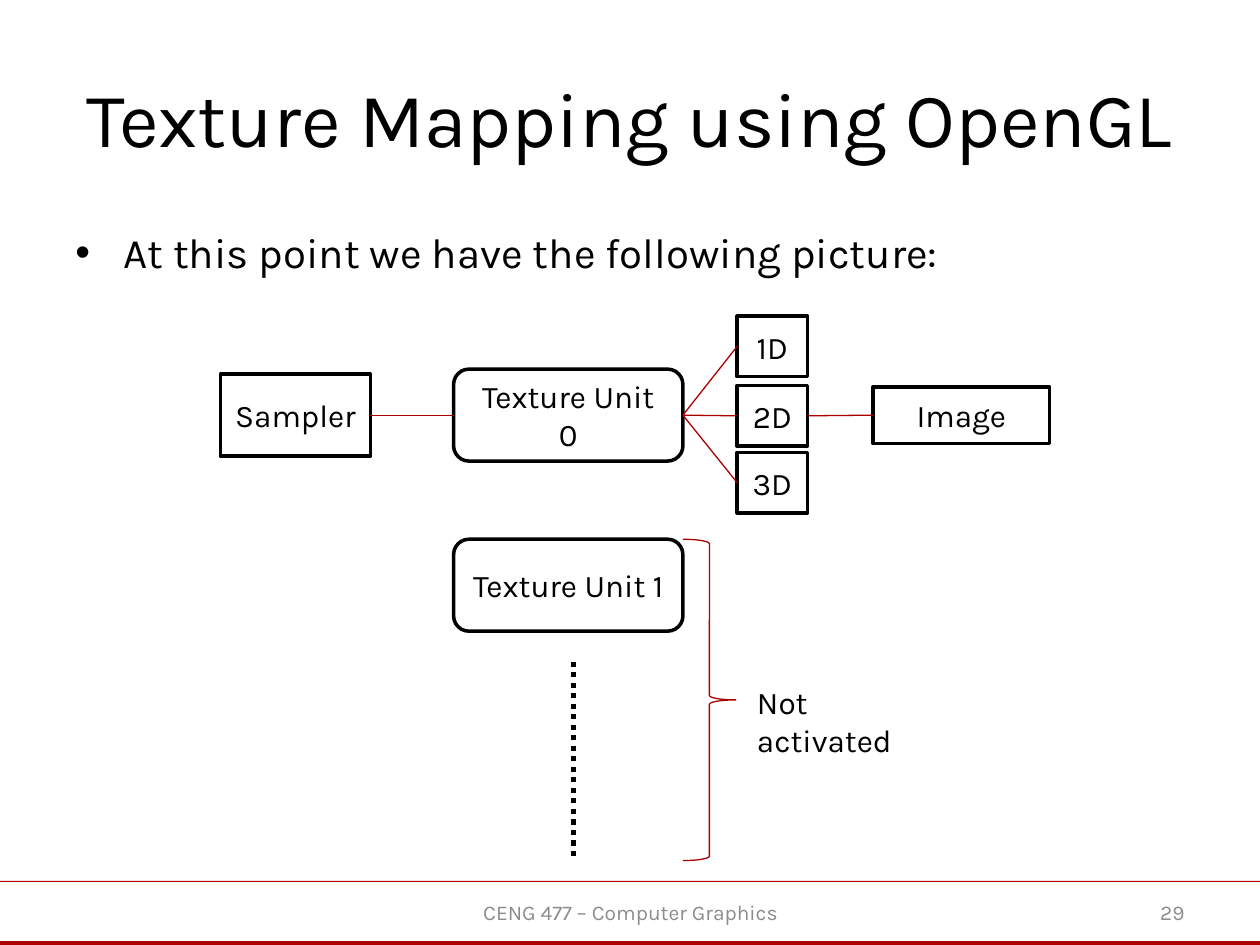
from lxml import etree
from pptx import Presentation
from pptx.dml.color import RGBColor
from pptx.enum import dml, shapes, text
from pptx.oxml import ns
from pptx.util import Inches, Pt

RED, BAR_RED, BLACK, WHITE, GREY = "AA0000", "AD0101", "000000", "FFFFFF", "8C8C8C"
KIND = shapes.MSO_SHAPE
CENTER, LEFT, RIGHT = text.PP_ALIGN.CENTER, text.PP_ALIGN.LEFT, text.PP_ALIGN.RIGHT
TOP, MIDDLE = text.MSO_ANCHOR.TOP, text.MSO_ANCHOR.MIDDLE
color = RGBColor.from_string


def write(shape, words, size, font_color=BLACK, align=CENTER, anchor=MIDDLE):
    frame = shape.text_frame
    frame.text = words
    frame.word_wrap = True
    frame.vertical_anchor = anchor
    paragraph = frame.paragraphs[0]
    paragraph.alignment = align
    font = paragraph.runs[0].font
    font.name, font.size = "Karla", Pt(size)
    font.color.rgb = color(font_color)
    return paragraph


def connect(x1, y1, x2, y2, line_color=RED, width=0.75):
    line = slide.shapes.add_connector(
        shapes.MSO_CONNECTOR.STRAIGHT, Inches(x1), Inches(y1), Inches(x2), Inches(y2))
    line.line.color.rgb = color(line_color)
    line.line.width = Pt(width)
    etree.SubElement(line._element.spPr, ns.qn("a:effectLst"))
    return line


presentation = Presentation()
presentation.slide_width, presentation.slide_height = Inches(10), Inches(7.5)
slide = presentation.slides.add_slide(presentation.slide_layouts[5])

# Footer rules
for top, height in ((6.99, 0.01), (7.47, 0.03)):
    bar = slide.shapes.add_shape(
        KIND.RECTANGLE, 0, Inches(top), Inches(10), Inches(height))
    bar.shadow.inherit = False
    bar.fill.solid()
    bar.fill.fore_color.rgb = color(BAR_RED)
    bar.line.fill.background()

# Title
title = slide.shapes.title
title.left, title.top = Inches(0.5), Inches(0.3)
title.width, title.height = Inches(9), Inches(1.25)
write(title, "Texture Mapping using OpenGL", 44)

# Body, footer and brace label
texts = {}
for words, left, top, width, height, size, font_color, align, anchor in (
    ("At this point we have the following picture:",
     0.5, 1.75, 9, 0.6, 24, BLACK, LEFT, TOP),
    ("CENG 477 – Computer Graphics", 3.42, 7.04, 3.17, 0.4, 12, GREY, CENTER, MIDDLE),
    ("29", 7.17, 7.04, 2.33, 0.4, 12, GREY, RIGHT, MIDDLE),
    ("Not activated", 5.91, 5.37, 1.67, 0.4, 18, BLACK, LEFT, TOP),
):
    box = slide.shapes.add_textbox(
        Inches(left), Inches(top), Inches(width), Inches(height))
    texts[words] = write(box, words, size, font_color, align, anchor)

# Bullet of the body line
properties = texts["At this point we have the following picture:"]._p.get_or_add_pPr()
properties.set("marL", str(Inches(0.38)))
properties.set("indent", str(Inches(-0.38)))
etree.SubElement(properties, ns.qn("a:buFont")).set("typeface", "Arial")
etree.SubElement(properties, ns.qn("a:buChar")).set("char", "•")

# Diagram boxes
boxes = {}
for words, kind, left, top, width, height in (
    ("Texture Unit 0", KIND.ROUNDED_RECTANGLE, 3.6, 2.93, 1.82, 0.73),
    ("Texture Unit 1", KIND.ROUNDED_RECTANGLE, 3.6, 4.28, 1.82, 0.73),
    ("1D", KIND.RECTANGLE, 5.85, 2.51, 0.56, 0.48),
    ("2D", KIND.RECTANGLE, 5.85, 3.06, 0.56, 0.48),
    ("3D", KIND.RECTANGLE, 5.85, 3.59, 0.56, 0.48),
    ("Sampler", KIND.RECTANGLE, 1.75, 2.97, 1.19, 0.65),
    ("Image", KIND.RECTANGLE, 6.93, 3.07, 1.4, 0.45),
):
    box = slide.shapes.add_shape(
        kind, Inches(left), Inches(top), Inches(width), Inches(height))
    box.shadow.inherit = False
    box.fill.solid()
    box.fill.fore_color.rgb = color(WHITE)
    box.line.color.rgb = color(BLACK)
    box.line.width = Pt(2)
    write(box, words, 18)
    boxes[words] = box

# Links from the right side of one box to the left side of the next
for start, end in (
    ("Sampler", "Texture Unit 0"),
    ("Texture Unit 0", "1D"),
    ("Texture Unit 0", "2D"),
    ("Texture Unit 0", "3D"),
    ("2D", "Image"),
):
    link = connect(0, 0, 1, 1)
    link.begin_connect(boxes[start], 3)
    link.end_connect(boxes[end], 1)

# Further units, not activated
dots = connect(4.55, 5.25, 4.55, 6.83, BLACK, 3)
dots.line.dash_style = dml.MSO_LINE.ROUND_DOT
brace = slide.shapes.add_shape(
    KIND.RIGHT_BRACE, Inches(5.42), Inches(4.28), Inches(0.42), Inches(2.55))
brace.shadow.inherit = False
brace.fill.background()
brace.line.color.rgb = color(RED)
brace.line.width = Pt(0.75)

presentation.save("out.pptx")
